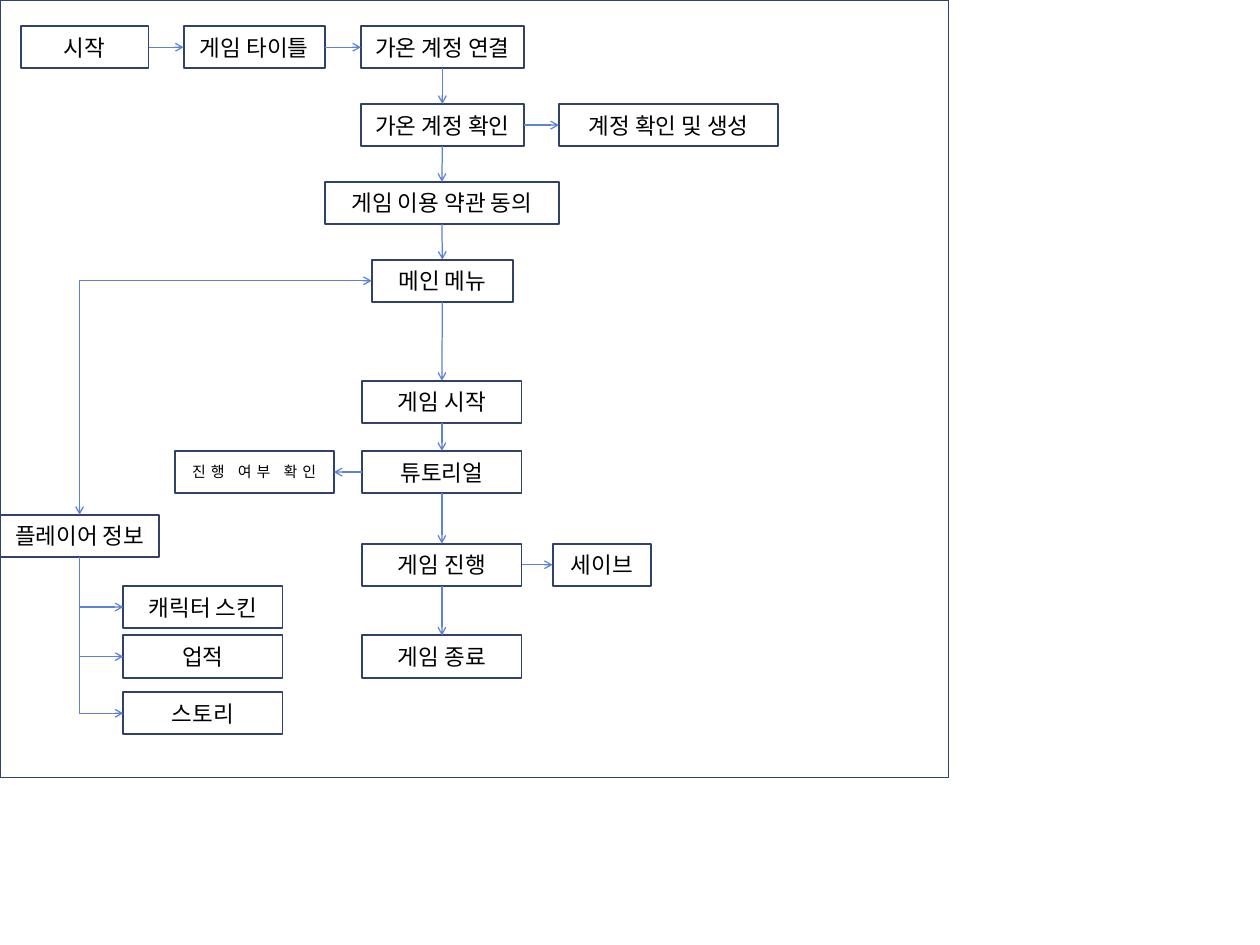
from dataclasses import dataclass
from lxml import etree
from pptx import Presentation
from pptx.dml.color import RGBColor
from pptx.enum.shapes import MSO_CONNECTOR, MSO_SHAPE
from pptx.enum.text import MSO_ANCHOR, PP_ALIGN
from pptx.oxml.ns import qn
from pptx.util import Inches, Pt

RECT = MSO_SHAPE.RECTANGLE
STRAIGHT, ELBOW = MSO_CONNECTOR.STRAIGHT, MSO_CONNECTOR.ELBOW
MIDDLE, CENTER = MSO_ANCHOR.MIDDLE, PP_ALIGN.CENTER
TOP, LEFT, BOTTOM, RIGHT = range(4)


@dataclass(frozen=True)
class Theme:
    """Colours, type and line weights of the flowchart."""
    font: str = "Noto Sans CJK KR"
    text: RGBColor = RGBColor(0, 0, 0)
    border: RGBColor = RGBColor(0x30, 0x41, 0x6A)
    arrow: RGBColor = RGBColor(0x5E, 0x81, 0xD9)
    size: int = 18
    small: int = 12
    border_width: float = 1.5
    arrow_width: float = 1


theme = Theme()
prs = Presentation()
prs.slide_width, prs.slide_height = Inches(14), Inches(10.5)
shapes = prs.slides.add_slide(prs.slide_layouts[6]).shapes


def add_box(left, top, width, height):
    """Add an unfilled rectangle with the theme border."""
    sp = shapes.add_shape(RECT, *map(Inches, (left, top, width, height)))
    sp.shadow.inherit = False
    sp.fill.background()
    sp.line.color.rgb = theme.border
    sp.line.width = Pt(theme.border_width)
    return sp


def add_arrow(kind, begin, end, ends=("tailEnd",)):
    """Add a connector between two points with open arrowheads."""
    c = shapes.add_connector(kind, *(int(v) for v in (*begin, *end)))
    c.line.color.rgb = theme.arrow
    c.line.width = Pt(theme.arrow_width)
    ln = c.line._get_or_add_ln()
    for tag in ends:
        etree.SubElement(ln, qn(f"a:{tag}"), type="arrow")
    etree.SubElement(c._element.spPr, qn("a:effectLst"))
    return c


BOX_H = 0.47
WIDE = 1.77
MAIN = 4.91                               # centre of the main column
MAIN_LEFT = MAIN - WIDE / 2
STEP = 0.865                              # row pitch of the upper part
ROWS = [0.29 + STEP * i for i in range(4)]
START, TUTORIAL, PLAY, FINISH = 4.23, 5.01, 6.04, 7.06
SUB_LEFT = 1.37

# name: text, left, top, width
BOXES = {
    "start": ("시작", 0.23, ROWS[0], 1.42),
    "title": ("게임 타이틀", 2.04, ROWS[0], 1.57),
    "link": ("가온 계정 연결", MAIN - 0.9, ROWS[0], 1.81),
    "check": ("가온 계정 확인", MAIN - 0.9, ROWS[1], 1.81),
    "create": ("계정 확인 및 생성", 6.21, ROWS[1], 2.44),
    "terms": ("게임 이용 약관 동의", MAIN - 1.3, ROWS[2], 2.6),
    "menu": ("메인 메뉴", MAIN - 0.78, ROWS[3], 1.57),
    "player": ("플레이어 정보", 0, 5.72, WIDE),
    "skin": ("캐릭터 스킨", SUB_LEFT, 6.51, WIDE),
    "award": ("업적", SUB_LEFT, FINISH, WIDE),
    "begin": ("게임 시작", MAIN_LEFT, START, WIDE),
    "tutorial": ("튜토리얼", MAIN_LEFT, TUTORIAL, WIDE),
    "play": ("게임 진행", MAIN_LEFT, PLAY, WIDE),
    "progress": ("진행 여부 확인", 1.94, TUTORIAL, WIDE),
    "finish": ("게임 종료", MAIN_LEFT, FINISH, WIDE),
    "save": ("세이브", 6.14, PLAY, 1.09),
    "story": ("스토리", SUB_LEFT, 7.69, WIDE),
}

boxes, sites = {}, {}
for name, (text, left, top, width) in BOXES.items():
    sp = add_box(left, top, width, BOX_H)
    tf = sp.text_frame
    tf.word_wrap, tf.vertical_anchor = True, MIDDLE
    p = tf.paragraphs[0]
    p.alignment = CENTER
    r = p.add_run()
    r.text = text
    small = name == "progress"
    r.font.size = Pt(theme.small if small else theme.size)
    r.font.name = theme.font
    r.font.color.rgb = theme.text
    rPr = r.font._element
    etree.SubElement(rPr, qn("a:ea"), typeface=theme.font)
    if small:
        rPr.set("spc", "400")
    boxes[name] = sp
    mid_x, mid_y = sp.left + sp.width // 2, sp.top + sp.height // 2
    sites[name] = {
        TOP: (mid_x, sp.top), LEFT: (sp.left, mid_y),
        BOTTOM: (mid_x, sp.top + sp.height), RIGHT: (sp.left + sp.width, mid_y),
    }

add_box(0, 0, 10.54, 8.64)

FLOWS = [
    (RIGHT, LEFT, [("start", "title"), ("title", "link"), ("check", "create"),
                   ("play", "save")]),
    (BOTTOM, TOP, [("link", "check"), ("check", "terms"), ("terms", "menu"),
                   ("menu", "begin"), ("begin", "tutorial"),
                   ("tutorial", "play"), ("play", "finish")]),
    (LEFT, RIGHT, [("tutorial", "progress")]),
]
for out, into, pairs in FLOWS:
    for a, b in pairs:
        c = add_arrow(STRAIGHT, sites[a][out], sites[b][into])
        c.begin_connect(boxes[a], out)
        c.end_connect(boxes[b], into)

# Single-bend arrows: across then down, from the menu to the player box
bends = [add_arrow(ELBOW, sites["menu"][LEFT], sites["player"][TOP],
                   ("headEnd", "tailEnd"))]

# Down then across: drawn flipped and turned a quarter about the centre
x1, y1 = sites["player"][BOTTOM]
for name in ("skin", "award", "story"):
    x2, y2 = sites[name][LEFT]
    cx, cy, half_w, half_h = (x1 + x2) / 2, (y1 + y2) / 2, (y2 - y1) / 2, (x2 - x1) / 2
    c = add_arrow(ELBOW, (cx - half_w, cy + half_h), (cx + half_w, cy - half_h))
    c._element.spPr.find(qn("a:xfrm")).set("rot", "5400000")
    bends.append(c)

for c in bends:
    c._element.spPr.find(qn("a:prstGeom")).set("prst", "bentConnector2")

prs.save("out.pptx")
